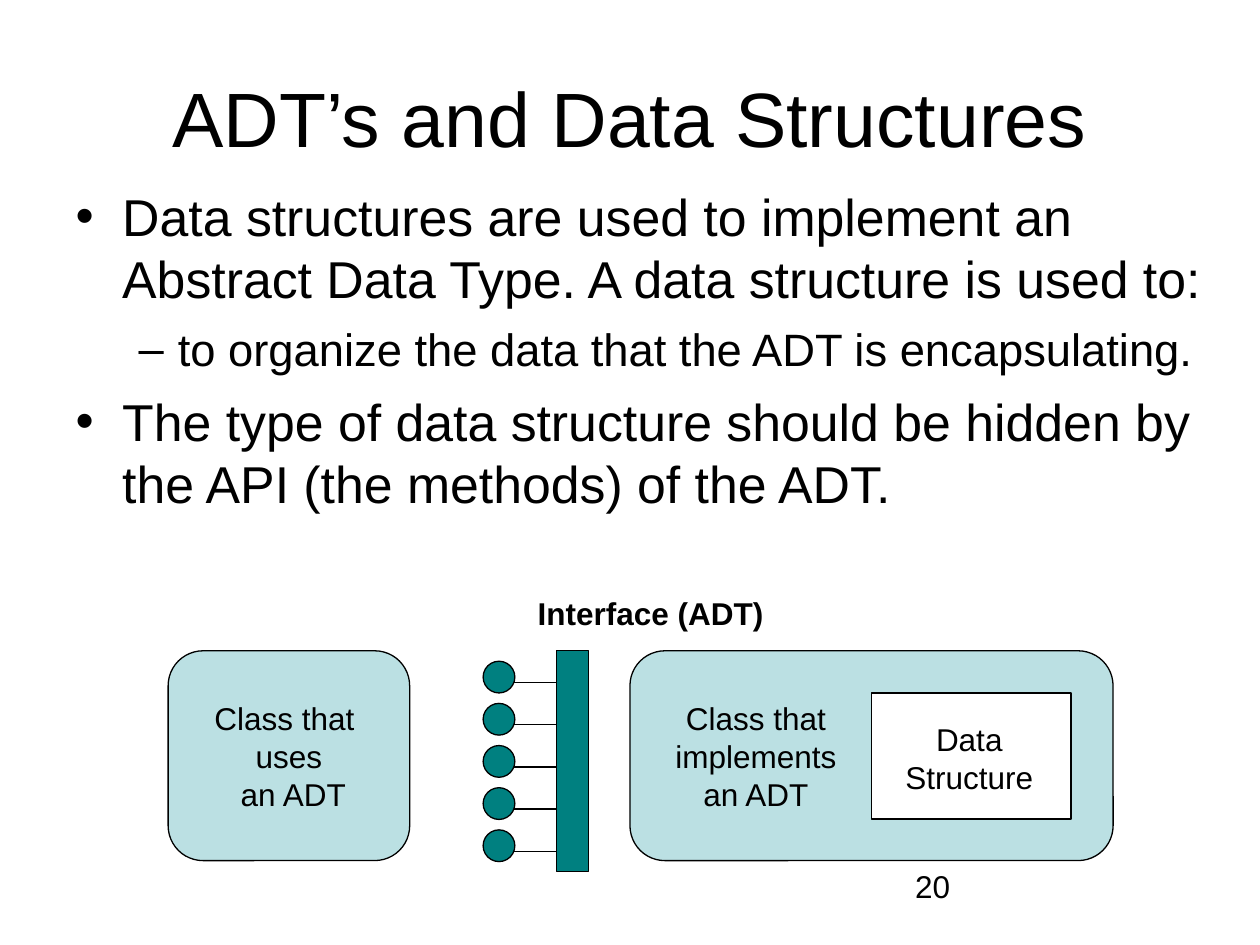
from lxml import etree
from pptx import Presentation
from pptx.dml.color import RGBColor
from pptx.enum.shapes import MSO_CONNECTOR, MSO_SHAPE
from pptx.enum.text import MSO_ANCHOR, MSO_AUTO_SIZE, PP_ALIGN
from pptx.oxml.ns import qn
from pptx.util import Cm, Pt

RECTANGLE, ROUNDED, OVAL = MSO_SHAPE.RECTANGLE, MSO_SHAPE.ROUNDED_RECTANGLE, MSO_SHAPE.OVAL
STRAIGHT = MSO_CONNECTOR.STRAIGHT
TOP, MIDDLE = MSO_ANCHOR.TOP, MSO_ANCHOR.MIDDLE
LEFT, CENTER = PP_ALIGN.LEFT, PP_ALIGN.CENTER
NO_AUTOFIT, FIT_SHAPE = MSO_AUTO_SIZE.NONE, MSO_AUTO_SIZE.SHAPE_TO_FIT_TEXT

FONT = "Arial"
BLACK, WHITE, PALE_BLUE, TEAL = "000000", "FFFFFF", "BBE0E3", "008080"
LINE_WIDTH = Pt(0.75)
LABEL_SIZE = 18

METHOD_COUNT = 5
METHOD_PITCH = 0.85
METHOD_DIAMETER = 0.64

# Text, level, size, space before, left margin and first-line indent in cm
BULLETS = [
    ("Data structures are used to implement an Abstract Data Type. "
     "A data structure is used to:", 0, 29.6, 8, 0.94, -0.94),
    ("to organize the data that the ADT is encapsulating.", 1, 25.9, 7, 2.06, -0.79),
    ("The type of data structure should be hidden by the API (the methods) "
     "of the ADT.", 0, 29.6, 8, 0.94, -0.94),
]


def color(hex_string):
    return RGBColor.from_string(hex_string)


def place(shape, left, top, width, height):
    shape.left, shape.top = Cm(left), Cm(top)
    shape.width, shape.height = Cm(width), Cm(height)


def format_runs(paragraph, size, bold=False):
    for run in paragraph.runs:
        run.font.name = FONT
        run.font.size = Pt(size)
        run.font.bold = bold
        run.font.color.rgb = color(BLACK)


def write_label(shape, text, alignment=CENTER, anchor=TOP, bold=False, fit=NO_AUTOFIT):
    frame = shape.text_frame
    frame.word_wrap = False
    frame.auto_size = fit
    frame.vertical_anchor = anchor
    frame.text = text
    for paragraph in frame.paragraphs:
        paragraph.alignment = alignment
        format_runs(paragraph, LABEL_SIZE, bold)


def add_label(slide, left, top, width, height, text, **options):
    label = slide.shapes.add_textbox(Cm(left), Cm(top), Cm(width), Cm(height))
    write_label(label, text, **options)


def add_block(slide, kind, left, top, width, height, fill):
    block = slide.shapes.add_shape(kind, Cm(left), Cm(top), Cm(width), Cm(height))
    block.shadow.inherit = False
    block.fill.solid()
    block.fill.fore_color.rgb = color(fill)
    block.line.color.rgb = color(BLACK)
    block.line.width = LINE_WIDTH
    return block


def add_line(slide, start_x, end_x, y):
    line = slide.shapes.add_connector(STRAIGHT, Cm(start_x), Cm(y), Cm(end_x), Cm(y))
    line.line.color.rgb = color(BLACK)
    line.line.width = LINE_WIDTH
    etree.SubElement(line._element.spPr, qn("a:effectLst"))


def fill_title(slide, left, top, width, height):
    title = slide.shapes.title
    place(title, left, top, width, height)
    title.text_frame.text = "ADT’s and Data Structures"
    title.text_frame.auto_size = NO_AUTOFIT
    format_runs(title.text_frame.paragraphs[0], 44)


def fill_body(slide, left, top, width, height):
    body = slide.placeholders[1]
    place(body, left, top, width, height)
    frame = body.text_frame
    frame.text = "\n".join(bullet[0] for bullet in BULLETS)
    frame.auto_size = NO_AUTOFIT
    for paragraph, bullet in zip(frame.paragraphs, BULLETS):
        _, level, size, space_before, margin, indent = bullet
        paragraph.level = level
        paragraph.space_before = Pt(space_before)
        properties = paragraph._p.get_or_add_pPr()
        properties.set("marL", str(Cm(margin)))
        properties.set("indent", str(Cm(indent)))
        format_runs(paragraph, size)


def add_user_class(slide, left, top, width, height):
    block = add_block(slide, ROUNDED, left, top, width, height, PALE_BLUE)
    write_label(block, "Class that \nuses\n an ADT", anchor=MIDDLE)


def add_implementing_class(slide, left, top, width, height):
    add_block(slide, ROUNDED, left, top, width, height, PALE_BLUE)
    add_label(slide, left + 0.64, top + 0.85, 3.8, 2.54,
              "Class that\nimplements\nan ADT", fit=FIT_SHAPE)
    add_block(slide, RECTANGLE, left + 4.87, top + 0.85, 4.02, 2.54, WHITE)
    add_label(slide, left + 5.26, top + 1.27, 3.16, 1.78, "Data\nStructure", fit=FIT_SHAPE)


def add_interface(slide, left, top, width, height):
    """Draw the bar with one line and circle for each method."""
    bar_width = 0.64
    bar_left = left + width - bar_width
    add_block(slide, RECTANGLE, bar_left, top, bar_width, height, TEAL)
    add_label(slide, left + 0.85, top - 1.27, 5.15, 1.02, "Interface (ADT)",
              alignment=LEFT, bold=True, fit=FIT_SHAPE)
    offsets = [top + index * METHOD_PITCH for index in range(METHOD_COUNT)]
    for offset in offsets:
        add_line(slide, left + 0.42, bar_left, offset + 0.64)
    for offset in offsets:
        add_block(slide, OVAL, left, offset + 0.21, METHOD_DIAMETER, METHOD_DIAMETER, TEAL)


def main():
    presentation = Presentation()
    presentation.slide_width, presentation.slide_height = Cm(25.4), Cm(19.05)
    slide = presentation.slides.add_slide(presentation.slide_layouts[1])
    fill_title(slide, 1.27, 0.76, 22.86, 3.18)
    fill_body(slide, 1.27, 3.6, 24.13, 9.1)
    add_user_class(slide, 3.39, 13.12, 4.87, 4.23)
    add_implementing_class(slide, 12.7, 13.12, 9.74, 4.23)
    add_interface(slide, 9.74, 13.12, 2.12, 4.45)
    add_label(slide, 18.2, 17.35, 5.93, 1.32, "20", alignment=LEFT)
    presentation.save("out.pptx")


if __name__ == "__main__":
    main()
